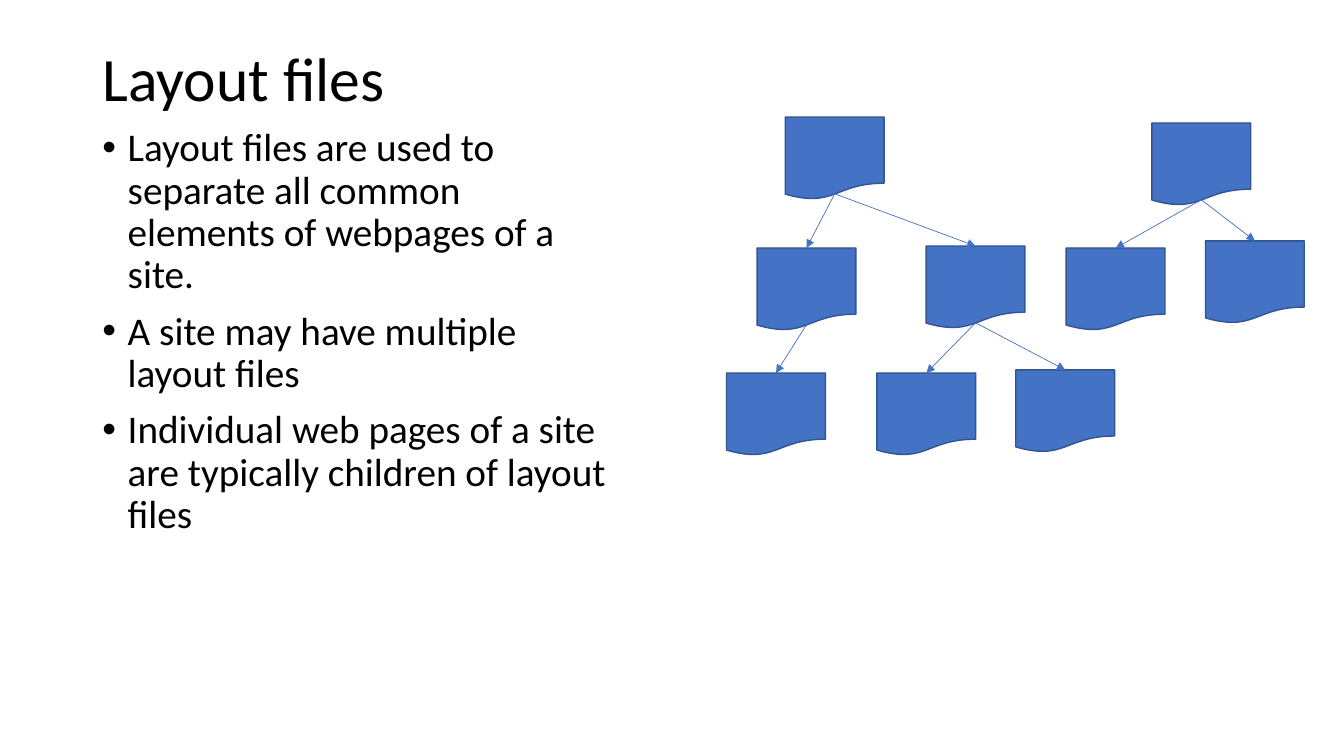
"""Build the slide on layout files with its two page trees."""
from lxml import etree
from pptx import Presentation
from pptx import util as u
from pptx.dml.color import RGBColor
from pptx.enum import shapes, text
from pptx.oxml.ns import qn

TITLE = "Layout files"
POINTS = [
    "Layout files are used to separate all common elements of webpages of a site.",
    "A site may have multiple layout files",
    "Individual web pages of a site are typically children of layout files",
]
FILES = {
    "main layout": (19.79, 2.95),
    "left section": (19.08, 6.25),
    "second layout": (29.03, 3.1),
    "right section": (23.34, 6.2),
    "second left page": (26.87, 6.25),
    "second right page": (30.38, 6.07),
    "left page": (18.31, 9.4),
    "middle page": (22.1, 9.4),
    "right page": (25.6, 9.32),
}
CHILDREN = {
    "main layout": ["left section", "right section"],
    "left section": ["left page"],
    "right section": ["middle page", "right page"],
    "second layout": ["second left page", "second right page"],
}
FILE_SIZE = (2.49, 2.08)
WAVE_MIDDLE = 0.93
INDENT = u.Cm(0.64)
BLACK, BLUE, DARK_BLUE = "000000", "4472C4", "325491"


def color(value):
    return RGBColor.from_string(value)


def set_all(target, values):
    for name, value in values.items():
        setattr(target, name, value)


def add_text(page, place, lines, size, anchor, spacing):
    box = page.shapes.add_textbox(*map(u.Cm, place))
    frame = box.text_frame
    set_all(frame, {"word_wrap": True, "vertical_anchor": anchor})
    for index, line in enumerate(lines):
        para = frame.add_paragraph() if index else frame.paragraphs[0]
        set_all(para, {"line_spacing": 0.9, "space_before": u.Pt(spacing)})
        span = para.add_run()
        span.text = line
        set_all(span.font, {"name": "Calibri", "size": u.Pt(size)})
        span.font.color.rgb = color(BLACK)
    return frame


def add_bullet(para):
    props = para._p.get_or_add_pPr()
    props.set("marL", str(INDENT))
    props.set("indent", str(-INDENT))
    etree.SubElement(props, qn("a:buFont"), typeface="Arial")
    etree.SubElement(props, qn("a:buChar"), char="•")


def add_file(page, place):
    box = page.shapes.add_shape(
        shapes.MSO_SHAPE.FLOWCHART_DOCUMENT, *map(u.Cm, place + FILE_SIZE))
    box.shadow.inherit = False
    box.fill.solid()
    box.fill.fore_color.rgb = color(BLUE)
    box.line.color.rgb = color(DARK_BLUE)
    box.line.width = u.Pt(1)
    return box


def add_arrow(page, parent, child):
    arrow = page.shapes.add_connector(shapes.MSO_CONNECTOR.STRAIGHT, 0, 0, 0, 0)
    arrow.begin_connect(parent, 2)
    arrow.end_connect(child, 0)
    arrow.begin_y = parent.top + round(parent.height * WAVE_MIDDLE)
    arrow.line.color.rgb = color(BLUE)
    arrow.line.width = u.Pt(0.5)
    etree.SubElement(arrow.line._get_or_add_ln(), qn("a:tailEnd"), type="triangle")
    etree.SubElement(arrow._element.spPr, qn("a:effectLst"))


def main():
    deck = Presentation()
    set_all(deck, {"slide_width": u.Cm(33.87), "slide_height": u.Cm(19.05)})
    page = deck.slides.add_slide(deck.slide_layouts[6])
    add_text(page, (2.33, 1.01, 29.21, 2.09), [TITLE], 44, text.MSO_ANCHOR.MIDDLE, 0)
    body = add_text(page, (2.33, 3.1, 13.23, 14.07), POINTS, 28, text.MSO_ANCHOR.TOP, 10)
    for para in body.paragraphs:
        add_bullet(para)
    boxes = {name: add_file(page, place) for name, place in FILES.items()}
    for parent, names in CHILDREN.items():
        for name in names:
            add_arrow(page, boxes[parent], boxes[name])
    deck.save("out.pptx")


if __name__ == "__main__":
    main()
